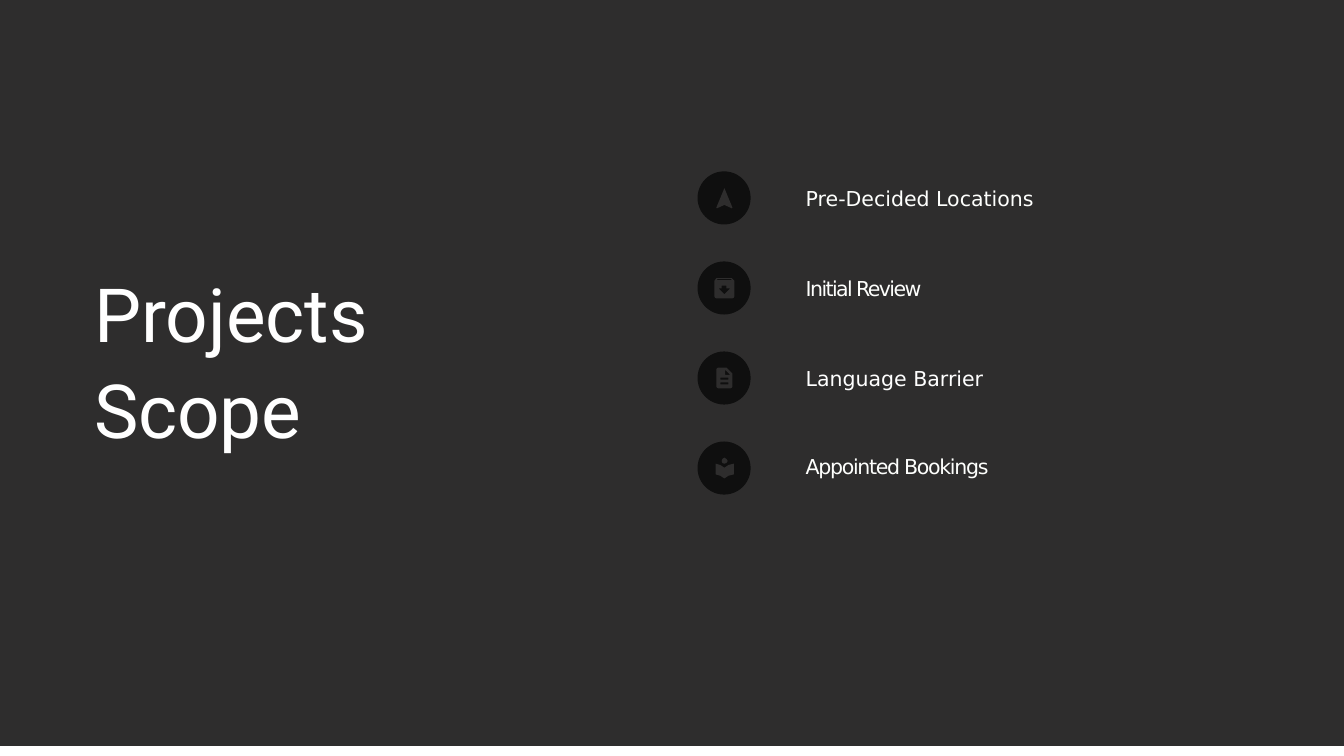
from typing import NamedTuple, Optional

from pptx import Presentation
from pptx import util as u
from pptx.dml.color import RGBColor
from pptx.enum import shapes, text

COLORS = {"panel": "2E2D2D", "badge": "0F0F0F", "item": "FEFFFD", "white": "FFFFFF"}
BADGE_LEFT, BADGE_TOP, BADGE_SIZE, BADGE_PITCH = 10.38, 2.55, 0.79, 1.34
LABEL_LEFT = 11.98

Contour = list[tuple[float, float]]


class ScopeItem(NamedTuple):
    label: str
    label_top: float
    width: float
    icon: list[Contour]
    color: str = "item"
    spacing: Optional[int] = None  # hundredths of a point


def bar(top: float) -> Contour:
    return [(34, top), (46, top), (46, top + 3), (34, top + 3)]


# Icon contours in hundredths of an inch from the badge corner; inner ones are holes
ARROW = [[(40, 25), (52, 54), (51, 55), (40, 50), (29, 55), (28, 54)]]
ARCHIVE = [
    [(28, 25), (51, 25), (55, 29), (55, 52), (54, 54), (52, 55),
     (28, 55), (26, 54), (25, 52), (25, 29)],
    [(30, 26), (50, 26), (51, 28), (28, 28)],
    [(36, 36), (43, 36), (43, 40), (49, 40), (40, 49), (31, 40), (36, 40)],
]
DOCUMENT = [
    [(31, 24), (43, 24), (52, 33), (52, 52), (51, 54), (49, 55),
     (31, 55), (29, 54), (28, 52), (28, 27), (29, 25)],
    [(41, 27), (49, 35), (41, 35)],
    bar(39),
    bar(46),
]
READER = [
    [(40, 24), (43, 26), (45, 29), (43, 32), (40, 33), (37, 32), (36, 29), (37, 26)],
    [(40, 39), (46, 35), (54, 33), (54, 49), (46, 51), (40, 55),
     (34, 51), (27, 49), (27, 33), (34, 35)],
]

ITEMS = [
    ScopeItem("Pre-Decided Locations", 2.74, 6.05, ARROW),
    ScopeItem("Initial Review", 4.08, 2.13, ARCHIVE, spacing=-170),
    ScopeItem("Language Barrier", 5.42, 2.94, DOCUMENT, color="white"),
    ScopeItem("Appointed Bookings", 6.73, 3.1, READER, spacing=-140),
]


def paint(shape, color: str) -> None:
    shape.shadow.inherit = False
    shape.fill.solid()
    shape.fill.fore_color.rgb = RGBColor.from_string(COLORS[color])
    shape.line.fill.background()


def add_block(slide, kind, left: float, top: float, width: float, height: float, color: str) -> None:
    shape = slide.shapes.add_shape(
        kind, u.Inches(left), u.Inches(top), u.Inches(width), u.Inches(height))
    paint(shape, color)


def add_icon(slide, contours: list[Contour], left: float, top: float) -> None:
    first, *others = contours
    builder = slide.shapes.build_freeform(*first[0], scale=float(u.Inches(0.01)))
    builder.add_line_segments(first[1:], close=True)
    for contour in others:
        builder.move_to(*contour[0])
        builder.add_line_segments(contour[1:], close=True)
    paint(builder.convert_to_shape(u.Inches(left), u.Inches(top)), "panel")


def add_text(slide, words: str, left: float, top: float, width: float, height: float,
             color: str, font: dict, line_spacing: float = 1.0,
             spacing: Optional[int] = None) -> None:
    box = slide.shapes.add_textbox(
        u.Inches(left), u.Inches(top), u.Inches(width), u.Inches(height))
    frame = box.text_frame
    frame_format = {
        "word_wrap": True, "auto_size": text.MSO_AUTO_SIZE.SHAPE_TO_FIT_TEXT,
        "margin_left": u.Inches(0.01), "margin_top": u.Inches(0.02),
        "margin_right": 0, "margin_bottom": 0,
    }
    for name, value in frame_format.items():
        setattr(frame, name, value)
    paragraph = frame.paragraphs[0]
    paragraph.line_spacing = line_spacing
    run = paragraph.add_run()
    run.text = words
    for name, value in font.items():
        setattr(run.font, name, value)
    run.font.color.rgb = RGBColor.from_string(COLORS[color])
    if spacing is not None:
        run.font._element.set("spc", str(spacing))


def main() -> None:
    presentation = Presentation()
    presentation.slide_width = u.Inches(20)
    presentation.slide_height = u.Inches(11.25)
    slide = presentation.slides.add_slide(presentation.slide_layouts[6])

    # Dark panel
    add_block(slide, shapes.MSO_SHAPE.RECTANGLE, 0, 0, 20, 11.1, "panel")

    # Scope list: badge, icon and label per row
    label_font = {"name": "DejaVu Sans", "size": u.Pt(22)}
    for row, item in enumerate(ITEMS):
        top = BADGE_TOP + row * BADGE_PITCH
        add_block(slide, shapes.MSO_SHAPE.OVAL, BADGE_LEFT, top, BADGE_SIZE, BADGE_SIZE, "badge")
        add_icon(slide, item.icon, BADGE_LEFT, top)
        add_text(slide, item.label, LABEL_LEFT, item.label_top, item.width, 0.39,
                 item.color, label_font, spacing=item.spacing)

    # Heading
    add_text(slide, "Projects Scope", 1.39, 3.87, 7.4, 2.81, "white",
             {"name": "Roboto", "size": u.Pt(80)}, line_spacing=1.07)

    presentation.save("out.pptx")


if __name__ == "__main__":
    main()
